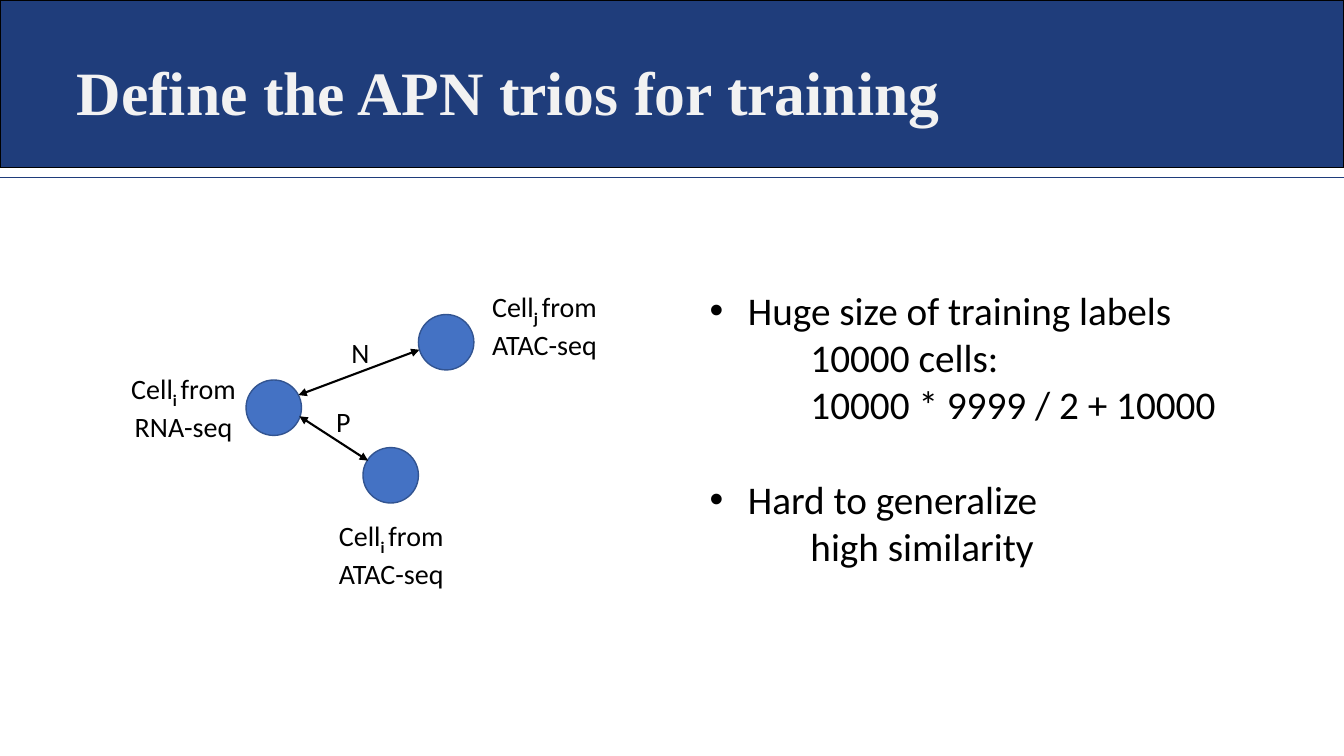
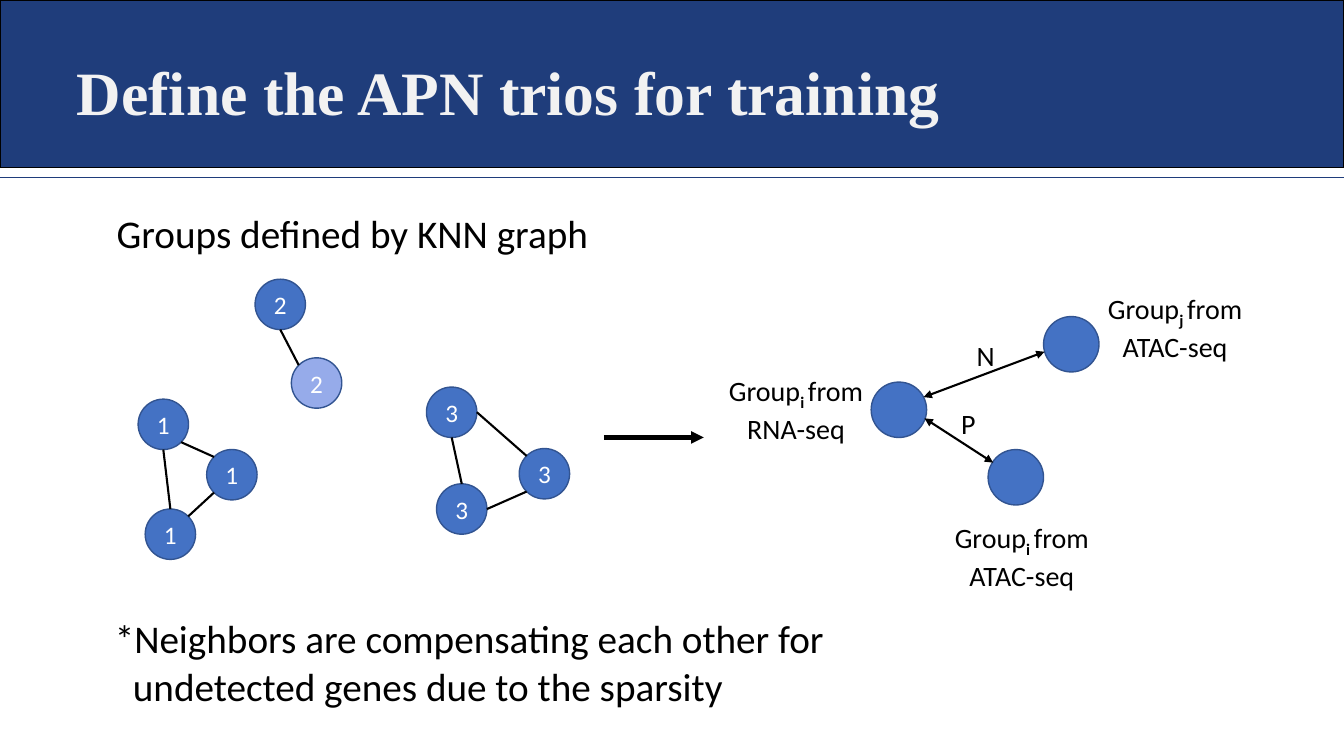
from math import cos, radians, sin

from lxml.etree import SubElement
from pptx import Presentation
from pptx.dml.color import RGBColor
from pptx.enum.shapes import MSO_CONNECTOR, MSO_SHAPE
from pptx.enum.text import MSO_ANCHOR, PP_ALIGN
from pptx.oxml.ns import qn
from pptx.util import Inches, Pt

NAVY, BLUE, PALE_BLUE, OUTLINE = "1F3D7B", "4472C4", "96ABEA", "325491"
BLACK, WHITE, TITLE_GREY = "000000", "FFFFFF", "F2F2F2"


def color(value):
    """Turn a hex string into a colour."""
    return RGBColor.from_string(value)


def add_span(para, text, size=20, font="Calibri", fill=BLACK, bold=False, baseline=0):
    """Append formatted text to a paragraph."""
    span = para.add_run()
    span.text = text
    span.font.size = Pt(size)
    span.font.name = font
    span.font.bold = bold
    span.font.color.rgb = color(fill)
    if baseline:
        span.font._element.set("baseline", str(baseline * 1000))


class SlideWriter:
    """Hold the deck style and draw on the current slide."""

    def __init__(self, deck):
        """Start with a deck and no slide."""
        self.deck = deck
        self.shapes = None

    def new_slide(self, title):
        """Add a slide with the title band, rule and title."""
        slide = self.deck.slides.add_slide(self.deck.slide_layouts[5])
        self.shapes = slide.shapes
        self.shape(MSO_SHAPE.RECTANGLE, 0, 0, 13.33, 1.66, NAVY, BLACK)
        self.line((0, 1.76), (13.33, 1.76), stroke=NAVY, width=1)
        box = self.shapes.title
        box.left, box.top = Inches(0.66), Inches(0.48)
        box.width, box.height = Inches(12.35), Inches(0.84)
        box.text_frame.vertical_anchor = MSO_ANCHOR.TOP
        para = box.text_frame.paragraphs[0]
        para.alignment = PP_ALIGN.LEFT
        add_span(para, title, size=44, font="Times New Roman", fill=TITLE_GREY, bold=True)
        box.element.getparent().append(box.element)

    def shape(self, kind, left, top, width, height, fill, stroke):
        """Draw a filled shape with a thin outline."""
        shape = self.shapes.add_shape(
            kind, Inches(left), Inches(top), Inches(width), Inches(height))
        shape.shadow.inherit = False
        shape.fill.solid()
        shape.fill.fore_color.rgb = color(fill)
        shape.line.color.rgb = color(stroke)
        shape.line.width = Pt(1)
        return shape

    def circle(self, left, top, size, fill=BLUE, number=None):
        """Draw a circle with an optional number inside."""
        circle = self.shape(MSO_SHAPE.OVAL, left, top, size, size, fill, OUTLINE)
        if number:
            frame = circle.text_frame
            frame.margin_left = frame.margin_right = 0
            frame.vertical_anchor = MSO_ANCHOR.MIDDLE
            para = frame.paragraphs[0]
            para.alignment = PP_ALIGN.CENTER
            add_span(para, number, size=18, fill=WHITE)

    def line(self, start, end, stroke=BLACK, width=1.5, heads=()):
        """Draw a straight line, with arrowheads at the named ends."""
        points = [Inches(value) for value in (*start, *end)]
        line = self.shapes.add_connector(MSO_CONNECTOR.STRAIGHT, *points)
        line.line.color.rgb = color(stroke)
        line.line.width = Pt(width)
        outline = line.line._get_or_add_ln()
        for head in heads:
            SubElement(outline, qn(f"a:{head}"), type="triangle")
        SubElement(line.element.spPr, qn("a:effectLst"))

    def text_box(self, left, top, width, height):
        """Add an empty wrapping text box and return its frame."""
        box = self.shapes.add_textbox(
            Inches(left), Inches(top), Inches(width), Inches(height))
        box.text_frame.word_wrap = True
        return box.text_frame

    def label(self, left, top, width, height, *spans):
        """Write centred text from (text, format) pairs."""
        frame = self.text_box(left, top, width, height)
        frame.vertical_anchor = MSO_ANCHOR.MIDDLE
        para = frame.paragraphs[0]
        para.alignment = PP_ALIGN.CENTER
        for text, style in spans:
            add_span(para, text, **style)

    def body(self, left, top, width, height, lines):
        """Write large lines given as (text, indent, bullet, space before)."""
        frame = self.text_box(left, top, width, height)
        for index, (text, indent, bullet, before) in enumerate(lines):
            para = frame.add_paragraph() if index else frame.paragraphs[0]
            if before:
                para.space_before = Pt(before)
            properties = para._p.get_or_add_pPr()
            properties.set("marL", str(Inches(indent)))
            properties.set("indent", str(-Inches(indent) if bullet else 0))
            if bullet:
                SubElement(properties, qn("a:buFont"), typeface="Arial")
                SubElement(properties, qn("a:buChar"), char="•")
            add_span(para, text, size=28)

    def trio(self, left, top, word, label_spans):
        """Draw the anchor, positive and negative circles with their labels."""
        for x, y in ((1.38, 0.98), (2.54, 1.65), (3.09, 0.33)):
            self.circle(left + x, top + y, 0.55)
        sources = (("i ", "RNA", 0.81), ("i ", "ATAC", 2.27), ("j ", "ATAC", 0))
        for (x, width), (index, source, y) in zip(label_spans, sources):
            self.label(left + x, top + y, width, 0.88, (word, {}),
                       (index, {"bold": True, "baseline": -25}),
                       (f"from {source}-seq", {}))
        arrows = (("N", 2.18, 0.47, (1.9, 1.13), (3.1, 0.68)),
                  ("P", 2.01, 1.15, (1.91, 1.34), (2.59, 1.78)))
        for letter, x, y, start, end in arrows:
            self.line((left + start[0], top + start[1]), (left + end[0], top + end[1]),
                      heads=("headEnd", "tailEnd"))
            self.label(left + x, top + y, 0.67, 0.48, (letter, {}))

    def graph(self, nodes, edges, size=0.5):
        """Draw numbered nodes and edges between angles on their rims."""
        def rim(name, angle):
            """Find the point of a node at an angle, clockwise from the right."""
            x, y = nodes[name][:2]
            turn = radians(angle)
            return x + size / 2 * (1 + cos(turn)), y + size / 2 * (1 + sin(turn))

        for name, (left, top, fill) in nodes.items():
            self.circle(left, top, size, fill, name[0])
        for first, first_angle, second, second_angle in edges:
            self.line(rim(first, first_angle), rim(second, second_angle))


def main():
    """Build the two slides."""
    deck = Presentation()
    deck.slide_width, deck.slide_height = Inches(13.33), Inches(7.5)
    writer = SlideWriter(deck)
    title = "Define the APN trios for training"

    writer.new_slide(title)
    writer.trio(1.06, 2.79, "Cell", ((0, 1.52), (2.06, 1.52), (3.58, 1.52)))
    writer.body(6.94, 2.79, 6.07, 3.4, (
        ("Huge size of training labels", 0.38, True, 0),
        ("10000 cells:", 1, False, 0),
        ("10000 * 9999 / 2 + 10000", 1, False, 0),
        ("Hard to generalize", 0.38, True, 34),
        ("high similarity", 1, False, 0)))

    writer.new_slide(title)
    writer.trio(7.26, 2.81, "Group", ((-0.24, 1.75), (2.05, 1.65), (3.57, 1.65)))
    writer.body(1.06, 2.03, 4.93, 0.57, (("Groups defined by KNN graph", 0, False, 0),))
    nodes = {
        "1a": (1.37, 3.96, BLUE), "1b": (2.05, 4.46, BLUE), "1c": (1.44, 5.05, BLUE),
        "2a": (2.53, 2.77, BLUE), "2b": (2.89, 3.55, PALE_BLUE),
        "3a": (4.23, 3.84, BLUE), "3b": (5.15, 4.45, BLUE), "3c": (4.33, 4.8, BLUE)}
    edges = (
        ("1a", 45, "1b", 225), ("1c", 315, "1b", 135), ("1c", 270, "1a", 90),
        ("2a", 90, "2b", 225),
        ("3b", 225, "3a", 0), ("3a", 90, "3c", 270), ("3b", 135, "3c", 0))
    writer.graph(nodes, edges)
    writer.line((5.99, 4.34), (6.98, 4.34), width=3, heads=("tailEnd",))
    writer.body(1.04, 6.05, 8.27, 1.04, (
        ("*Neighbors are compensating each other for", 0, False, 0),
        ("undetected genes due to the sparsity", 0.18, False, 0)))

    deck.save("out.pptx")


if __name__ == "__main__":
    main()
